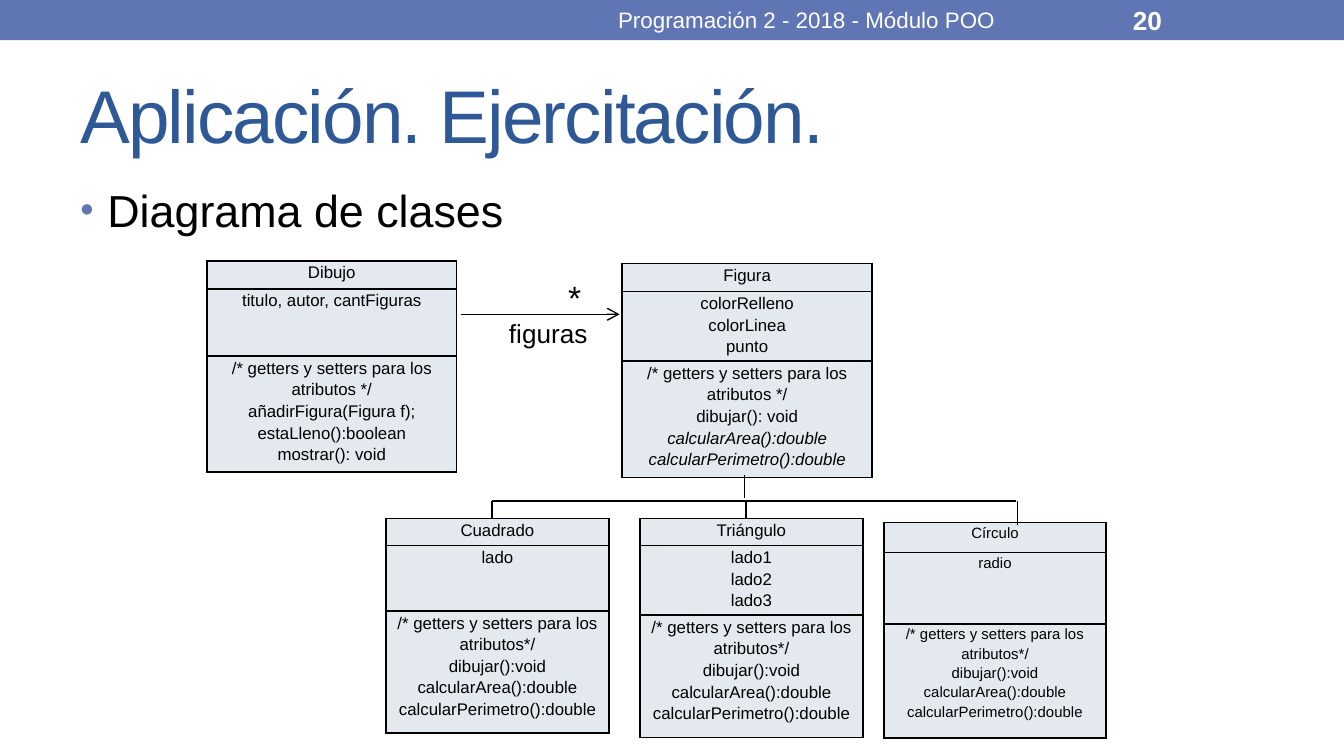
from lxml import etree
from pptx import Presentation
from pptx.dml.color import RGBColor
from pptx.enum import shapes, text
from pptx.oxml.ns import qn
from pptx.util import Cm, Pt

BLACK = RGBColor(0x00, 0x00, 0x00)
WHITE = RGBColor(0xFF, 0xFF, 0xFF)
HEADER_BLUE = RGBColor(0x60, 0x76, 0xB4)
TITLE_BLUE = RGBColor(0x2F, 0x58, 0x97)
CLASS_FILL = RGBColor(0xE4, 0xE9, 0xEF)
FONT = "Arial"
MIDDLE = text.MSO_ANCHOR.MIDDLE
CENTER = text.PP_ALIGN.CENTER

# Content: lengths in cm, text sizes in points
SHAPE_METHODS = ["dibujar():void", "calcularArea():double", "calcularPerimetro():double"]
GETTERS = "/* getters y setters para los atributos */"
SUBCLASS_METHODS = ["/* getters y setters para los atributos*/"] + SHAPE_METHODS
ABSTRACT_METHODS = SHAPE_METHODS[1:]
TOP_ROWS, SUBCLASS_ROWS, CIRCLE_ROWS = (0.53, 1.27, 2.11), (0.51, 1.24, 2.31), (0.56, 1.35, 2.16)

# name, left, top, width, row heights, text size, attributes, methods, italic lines
CLASSES = [
    ("Dibujo", 3.91, 4.93, 4.72, TOP_ROWS, 9, ["titulo, autor, cantFiguras"],
     [GETTERS, "añadirFigura(Figura f);", "estaLleno():boolean", "mostrar(): void"], []),
    ("Figura", 11.76, 4.98, 4.72, TOP_ROWS, 9, ["colorRelleno", "colorLinea", "punto"],
     [GETTERS, "dibujar(): void"] + ABSTRACT_METHODS, ABSTRACT_METHODS),
    ("Cuadrado", 7.29, 9.8, 4.22, SUBCLASS_ROWS, 9, ["lado"], SUBCLASS_METHODS, []),
    ("Triángulo", 12.09, 9.8, 4.22, SUBCLASS_ROWS, 9, ["lado1", "lado2", "lado3"],
     SUBCLASS_METHODS, []),
    ("Círculo", 16.71, 9.88, 4.19, CIRCLE_ROWS, 8, ["radio"], SUBCLASS_METHODS, []),
]

BRANCH_Y = 9.47
INHERITANCE_LINES = [
    (9.3, BRANCH_Y, 19.2, BRANCH_Y),
    (14.07, 8.97, 14.07, 9.42),
    (9.3, BRANCH_Y, 9.3, 9.8),
    (14.1, BRANCH_Y, 14.1, 9.8),
    (19.23, BRANCH_Y, 19.23, 9.93),
]
ASSOCIATION = (8.71, 5.94, 11.71, 5.94)

presentation = Presentation()
presentation.slide_width, presentation.slide_height = Cm(25.4), Cm(14.29)
slide = presentation.slides.add_slide(presentation.slide_layouts[6])


def set_font(paragraph, size, color=BLACK, bold=False, italic=False):
    font = paragraph.font
    font.name, font.size, font.bold, font.italic = FONT, Pt(size), bold, italic
    font.color.rgb = color


def add_text(words, left, top, width, height, size, color=BLACK, bold=False,
             anchor=text.MSO_ANCHOR.TOP, align=text.PP_ALIGN.LEFT):
    frame = slide.shapes.add_textbox(Cm(left), Cm(top), Cm(width), Cm(height)).text_frame
    frame.word_wrap = True
    frame.vertical_anchor = anchor
    paragraph = frame.paragraphs[0]
    paragraph.text, paragraph.alignment = words, align
    set_font(paragraph, size, color, bold)
    return paragraph


def add_line(x1, y1, x2, y2, arrow=False):
    line = slide.shapes.add_connector(shapes.MSO_CONNECTOR.STRAIGHT,
                                      Cm(x1), Cm(y1), Cm(x2), Cm(y2))
    line.line.color.rgb, line.line.width = BLACK, Pt(0.75)
    if arrow:
        etree.SubElement(line.line._get_or_add_ln(), qn("a:tailEnd"), type="arrow")
    etree.SubElement(line._element.spPr, qn("a:effectLst"))


def add_borders(cell):
    properties = cell._tc.get_or_add_tcPr()
    for index, side in enumerate(("lnL", "lnR", "lnT", "lnB")):
        border = etree.Element(qn("a:" + side), w=str(Pt(1)))
        fill = etree.SubElement(border, qn("a:solidFill"))
        etree.SubElement(fill, qn("a:srgbClr"), val=str(BLACK))
        properties.insert(index, border)


def add_class(name, left, top, width, heights, size, attributes, methods, italics):
    table = slide.shapes.add_table(3, 1, Cm(left), Cm(top), Cm(width), Cm(sum(heights))).table
    table.first_row = table.horz_banding = False
    for row, height, lines in zip(table.rows, heights, ([name], attributes, methods)):
        row.height = Cm(height)
        cell = row.cells[0]
        cell.margin_left = cell.margin_right = Cm(0.18)
        cell.margin_top = cell.margin_bottom = 0
        cell.fill.solid()
        cell.fill.fore_color.rgb = CLASS_FILL
        add_borders(cell)
        cell.text_frame.text = "\n".join(lines)
        for paragraph, line in zip(cell.text_frame.paragraphs, lines):
            paragraph.alignment, paragraph.line_spacing = CENTER, 1.15
            set_font(paragraph, size, italic=line in italics)


# Header bar
bar = slide.shapes.add_shape(shapes.MSO_SHAPE.RECTANGLE, 0, 0, presentation.slide_width, Cm(0.76))
bar.shadow.inherit = False
bar.fill.solid()
bar.fill.fore_color.rgb = HEADER_BLUE
bar.line.fill.background()
add_text("Programación 2 - 2018 - Módulo POO", 9.53, 0.03, 11.43, 0.69, 12, WHITE,
         anchor=MIDDLE, align=CENTER)
add_text("20", 21.16, 0.03, 2.97, 0.69, 14, WHITE, bold=True, anchor=MIDDLE)

# Title with tightened letters
title = add_text("Aplicación. Ejercitación.", 1.27, 1.12, 22.86, 2.06, 40, TITLE_BLUE,
                 anchor=MIDDLE)
title.runs[0].font._element.set("spc", "-100")

# Bulleted subtitle
subtitle = add_text("Diagrama de clases", 1.27, 3.33, 22.86, 1.3, 24)
subtitle.space_before = Pt(4.8)
bullet = subtitle._p.get_or_add_pPr()
bullet.set("marL", str(Cm(0.51)))
bullet.set("indent", str(Cm(-0.51)))
bullet_color = etree.Element(qn("a:buClr"))
etree.SubElement(bullet_color, qn("a:srgbClr"), val=str(HEADER_BLUE))
bullet_parts = [bullet_color, etree.Element(qn("a:buSzPct"), val="85000"),
                etree.Element(qn("a:buFont"), typeface=FONT),
                etree.Element(qn("a:buChar"), char="•")]
for part in bullet_parts:
    bullet.find(qn("a:defRPr")).addprevious(part)

# Class diagram
for class_box in CLASSES:
    add_class(*class_box)
for line_ends in INHERITANCE_LINES:
    add_line(*line_ends)
add_line(*ASSOCIATION, arrow=True)
add_text("*", 10.49, 5.11, 0.99, 1.02, 18)
add_text("figuras", 9.37, 5.87, 2.92, 0.86, 14)

presentation.save("out.pptx")
